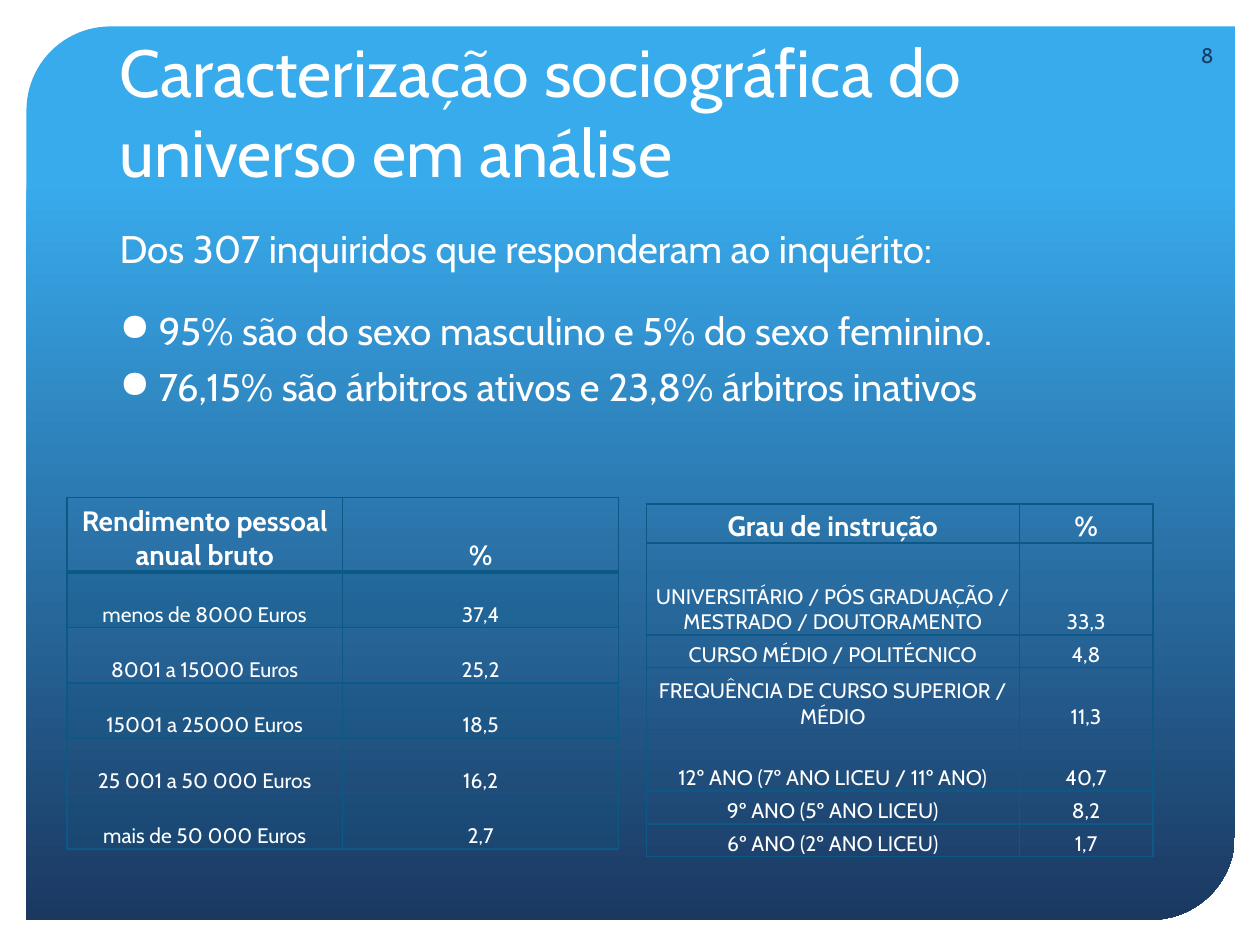
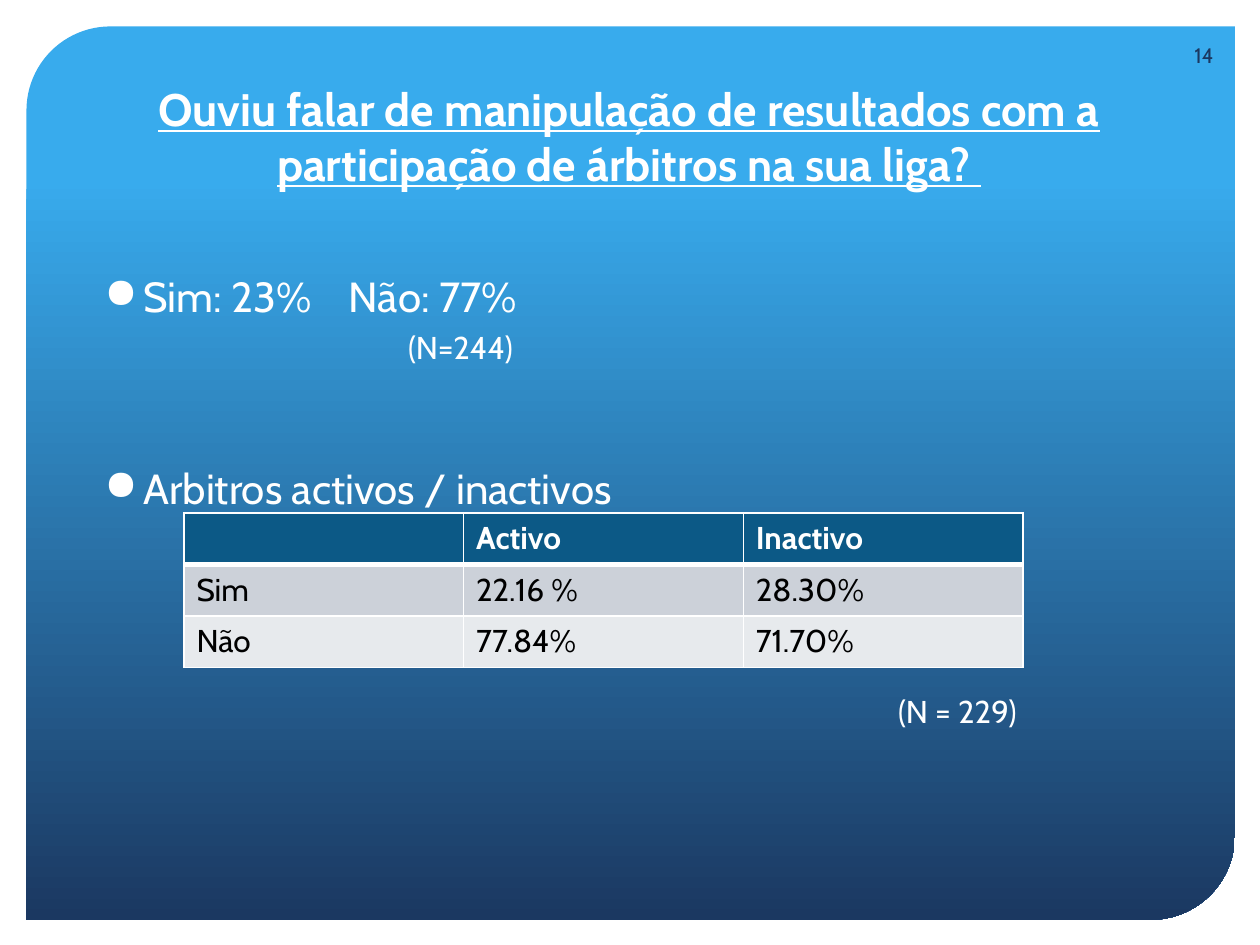
from lxml import etree
from pptx import Presentation
from pptx import util as u
from pptx.dml import color as dml
from pptx.enum import shapes, text
from pptx.oxml import ns

PX = 9144
FONT = "Cabin"
WHITE, BLACK, NAVY, TEAL, SKY = "FFFFFF", "000000", "1B3861", "0C5986", "38ABED"
LIGHT_ROWS = ["CCD1D9", "E7EAED"]
LEFT, CENTER, RIGHT = text.PP_ALIGN.LEFT, text.PP_ALIGN.CENTER, text.PP_ALIGN.RIGHT
BOTTOM, MIDDLE, TOP = text.MSO_ANCHOR.BOTTOM, text.MSO_ANCHOR.MIDDLE, text.MSO_ANCHOR.TOP


def rgb(value):
    return dml.RGBColor.from_string(value)


def px(*lengths):
    return [u.Emu(length * PX) for length in lengths]


def child(parent, tag, **attributes):
    return etree.SubElement(parent, ns.qn(tag), attributes)


class SlideBuilder:
    """Hold the deck's style and its current slide, and draw each kind of element."""

    def __init__(self):
        self.deck = Presentation()
        self.deck.slide_width, self.deck.slide_height = px(1000, 750)
        self.page = None

    def new_page(self, title, number, **title_style):
        self.page = self.deck.slides.add_slide(self.deck.slide_layouts[6])
        self.panel()
        self.label((85, 42, 829, 114), title, anchor=BOTTOM, **title_style)
        self.label((919, 24, 54, 40), number, size=12, color=NAVY, align=RIGHT, anchor=MIDDLE)

    def panel(self):
        panel = self.page.shapes.add_shape(
            shapes.MSO_SHAPE.ROUND_2_DIAG_RECTANGLE, *px(21, 21, 959, 709))
        panel.adjustments[0], panel.adjustments[1] = 0.094, 0
        panel.shadow.inherit = False
        panel.line.fill.background()
        panel.fill.gradient()
        panel.fill.gradient_angle = 270
        for stop, position, value in zip(panel.fill.gradient_stops, (0.17, 1), (SKY, NAVY)):
            stop.position, stop.color.rgb = position, rgb(value)

    def text_box(self, place, anchor=TOP):
        frame = self.page.shapes.add_textbox(*px(*place)).text_frame
        frame.word_wrap, frame.vertical_anchor = True, anchor
        return frame

    def label(self, place, wording, anchor=TOP, **style):
        para = self.text_box(place, anchor).paragraphs[0]
        self.set_text(para, wording, **style)

    def set_text(self, para, wording, size, color=WHITE, bold=False, underline=False, align=LEFT):
        para.text, para.alignment = wording, align
        font = para.font
        font.name, font.size, font.color.rgb = FONT, u.Pt(size), rgb(color)
        font.bold, font.underline = bold, underline

    def body(self, place, items):
        frame = self.text_box(place)
        for index, item in enumerate(items):
            para = frame.add_paragraph() if index else frame.paragraphs[0]
            self.body_line(para, **item)

    def body_line(self, para, wording, size, before, bullet=True, margin=31, hang=31, tab=None):
        para.space_before = u.Pt(before)
        props = para._p.get_or_add_pPr()
        props.set("marL", str(margin * PX))
        props.set("indent", str(-hang * PX))
        if bullet:
            child(props, "a:buChar", char="●")
        else:
            child(props, "a:buNone")
        if tab:
            child(child(props, "a:tabLst"), "a:tab", pos=str(tab * PX), algn="l")
        self.set_text(para, wording, size)

    def borders(self, cell, color, top=1, bottom=1):
        props = cell._tc.get_or_add_tcPr()
        for side, width in zip("LRTB", (1, 1, top, bottom)):
            line = child(props, f"a:ln{side}", w=str(u.Pt(width)))
            child(child(line, "a:solidFill"), "a:srgbClr", val=color)

    def cell_fill(self, cell, color, opacity):
        if color is None:
            cell.fill.background()
            return
        cell.fill.solid()
        cell.fill.fore_color.rgb = rgb(color)
        if opacity < 100:
            tint = cell._tc.tcPr.find(ns.qn("a:solidFill")).find(ns.qn("a:srgbClr"))
            child(tint, "a:alpha", val=str(opacity * 1000))

    def table(self, corner, columns, heights, rows, header_size, size, line, rule=1,
              header_fill=None, fills=(None,), opacity=100, color=WHITE, compact=True):
        frame = self.page.shapes.add_table(
            len(rows), len(columns), *px(*corner, sum(columns), sum(heights)))
        table = frame.table
        table.first_row = table.horz_banding = False
        for column, width in zip(table.columns, px(*columns)):
            column.width = width
        for row, height in zip(table.rows, px(*heights)):
            row.height = height
        for r, row in enumerate(rows):
            header = r == 0
            for c, wording in enumerate(row):
                cell = table.cell(r, c)
                if compact:
                    cell.vertical_anchor = BOTTOM
                    cell.margin_left, cell.margin_right, cell.margin_top, cell.margin_bottom = px(1, 1, 1, 0)
                self.borders(cell, line, rule if r == 1 else 1, rule if header else 1)
                self.cell_fill(cell, header_fill if header else fills[(r - 1) % len(fills)], opacity)
                self.set_text(cell.text_frame.paragraphs[0], wording,
                              header_size if header else size, WHITE if header else color,
                              bold=header, align=CENTER if compact else LEFT)


def profile_page(builder):
    builder.new_page("Caracterização sociográfica do universo em análise", "8", size=38)
    builder.body((85, 174, 829, 486), [
        dict(wording="Dos 307 inquiridos que responderam ao inquérito:", size=22, before=20, bullet=False),
        dict(wording="95% são do sexo masculino e 5% do sexo feminino.", size=22, before=20),
        dict(wording="76,15% são árbitros ativos e 23,8% árbitros inativos", size=22, before=6),
    ])
    small = dict(header_size=16, size=12, line=TEAL)
    builder.table((53, 395), [219, 219], [59] + [44] * 5, [
        ("Rendimento pessoal anual bruto", "%"),
        ("menos de 8000 Euros", "37,4"),
        ("8001 a 15000 Euros", "25,2"),
        ("15001 a 25000 Euros", "18,5"),
        ("25 001 a 50 000 Euros", "16,2"),
        ("mais de 50 000 Euros", "2,7"),
    ], rule=2, fills=(TEAL, None), opacity=20, **small)
    builder.table((513, 400), [296, 106], [31, 73, 26, 49, 49, 26, 26], [
        ("Grau de instrução", "%"),
        ("UNIVERSITÁRIO / PÓS GRADUAÇÃO / MESTRADO / DOUTORAMENTO", "33,3"),
        ("CURSO MÉDIO / POLITÉCNICO", "4,8"),
        ("FREQUÊNCIA DE CURSO SUPERIOR / MÉDIO", "11,3"),
        ("12º ANO (7º ANO LICEU / 11º ANO)", "40,7"),
        ("9º ANO (5º ANO LICEU)", "8,2"),
        ("6º ANO (2º ANO LICEU)", "1,7"),
    ], **small)


def league_page(builder):
    builder.new_page(
        "Ouviu falar de manipulação de resultados com a participação de árbitros na sua liga? ",
        "14", size=26, bold=True, underline=True, align=CENTER)
    builder.body((73, 210, 829, 491), [
        dict(wording="Sim: 23%\tNão: 77%", size=24, before=20, tab=194),
        dict(wording="(N=244)", size=18, before=4, bullet=False, margin=241, hang=0),
        dict(wording="Arbitros activos / inactivos", size=24, before=55),
    ])
    builder.table((146, 407), [222] * 3, [41] * 3, [
        ("", "Activo", "Inactivo"),
        ("Sim", "22.16 %", "28.30%"),
        ("Não", "77.84%", "71.70%"),
    ], header_size=18, size=18, line=WHITE, rule=3, header_fill=TEAL,
        fills=LIGHT_ROWS, color=BLACK, compact=False)
    builder.label((703, 544, 157, 40), "(N = 229)", size=18)


def main():
    builder = SlideBuilder()
    profile_page(builder)
    league_page(builder)
    builder.deck.save("out.pptx")


if __name__ == "__main__":
    main()
